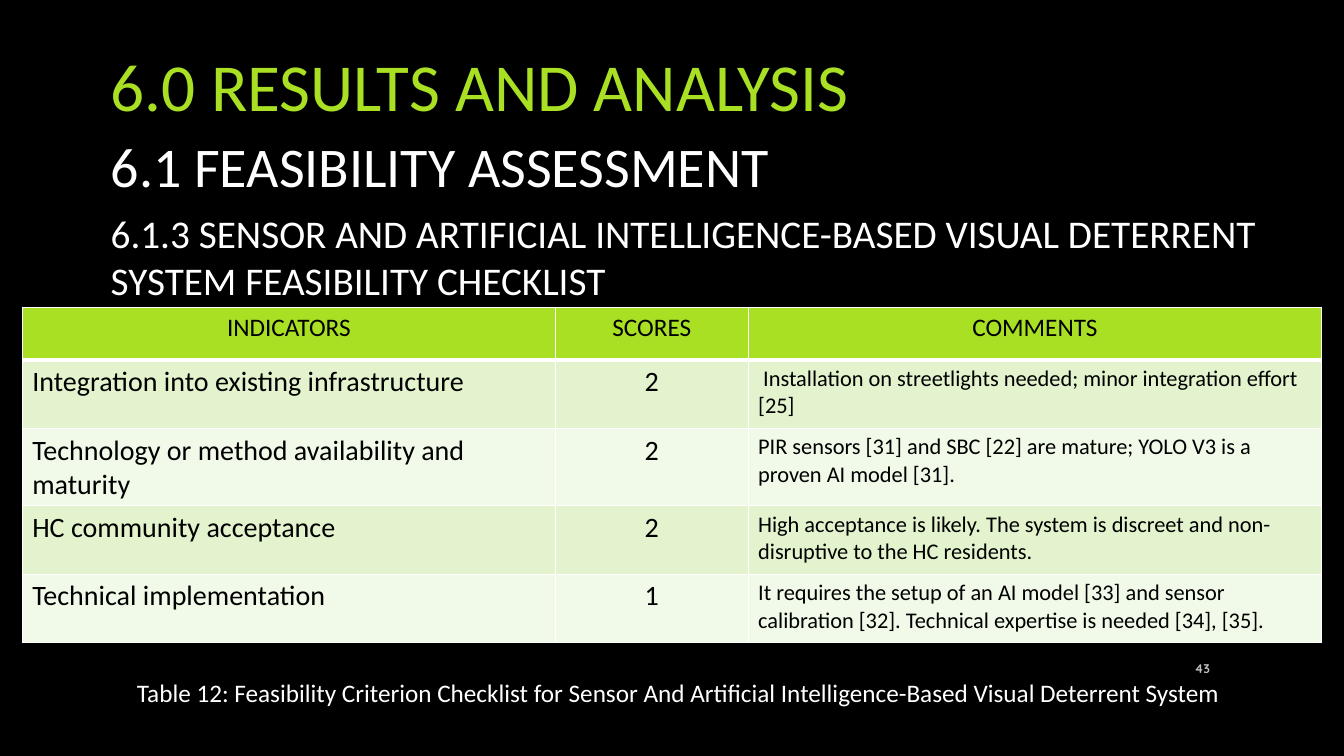
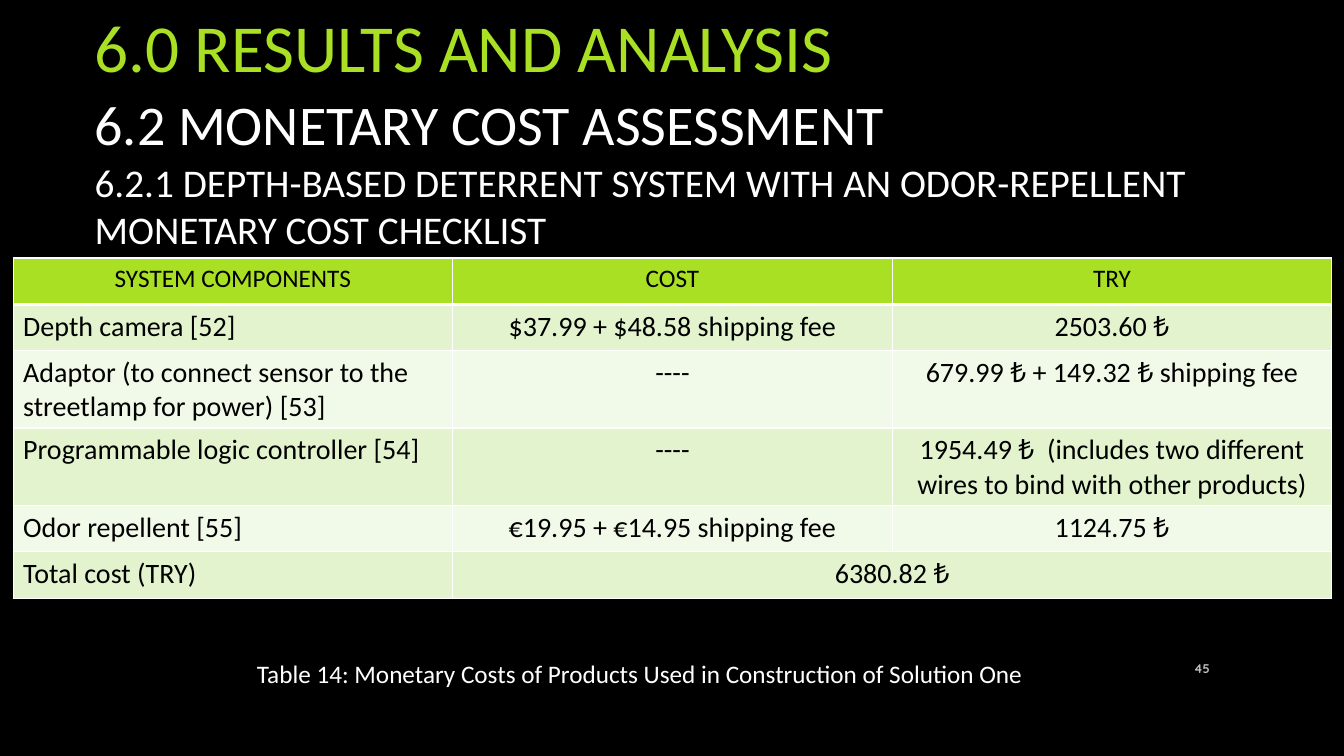
from lxml import etree
from pptx import Presentation
from pptx.dml.color import RGBColor
from pptx.enum.text import MSO_ANCHOR, MSO_AUTO_SIZE, PP_ALIGN
from pptx.oxml.ns import qn
from pptx.util import Inches, Pt

LEFT, MID, RIGHT = PP_ALIGN.LEFT, PP_ALIGN.CENTER, PP_ALIGN.RIGHT
TOP, CENTER = MSO_ANCHOR.TOP, MSO_ANCHOR.MIDDLE
NO_FIT = MSO_AUTO_SIZE.NONE

# Shared look
BLACK, WHITE, GRAY = "000000", "FFFFFF", "BFBFBF"
LIME = "A9E023"
BANDS = ("E2F3CD", "F1F9E8")
FONT, NUM_FONT = "Calibri", "Quicksand"
TITLE = "6.0 RESULTS AND ANALYSIS"
THIN, THICK = 1, 3


def color(value):
    return RGBColor.from_string(value)


def write(frame, text, size=18, ink=WHITE, font=FONT, bold=False,
          align=LEFT, anchor=TOP):
    """Fill a text frame or cell frame with one formatted paragraph."""
    frame.word_wrap = True
    frame.vertical_anchor = anchor
    para = frame.paragraphs[0]
    para.alignment = align
    run = para.add_run()
    run.text = text
    run.font.name = font
    run.font.size = Pt(size)
    run.font.bold = bold
    run.font.color.rgb = color(ink)


def add_text(slide, box, text, wrap=True, **style):
    frame = slide.shapes.add_textbox(*map(Inches, box)).text_frame
    write(frame, text, **style)
    frame.word_wrap = wrap


def add_title(slide, left, top):
    title = slide.shapes.title
    title.left, title.top = Inches(left), Inches(top)
    title.width, title.height = Inches(11.65), Inches(1.62)
    write(title.text_frame, TITLE, size=48, ink=LIME, anchor=CENTER)
    title.text_frame.auto_size = NO_FIT


def add_number(slide, number):
    add_text(slide, (11.5, 6.43, 0.6, 0.4), number, size=9, ink=GRAY,
             font=NUM_FONT, bold=True, align=RIGHT, anchor=CENTER)


def set_edges(cell, top, bottom):
    """Draw white cell borders; the side borders are always thin."""
    props = cell._tc.get_or_add_tcPr()
    edges = (("lnL", THIN), ("lnR", THIN), ("lnT", top), ("lnB", bottom))
    for spot, (tag, width) in enumerate(edges):
        line = etree.Element(qn("a:" + tag), w=str(Pt(width)))
        fill = etree.SubElement(line, qn("a:solidFill"))
        etree.SubElement(fill, qn("a:srgbClr"), val=WHITE)
        props.insert(spot, line)


def add_table(slide, left, top, cols, heights, rows, sizes, aligns):
    """Add a lime header and banded rows; sizes and aligns go by column."""
    box = (left, top, sum(cols), sum(heights))
    table = slide.shapes.add_table(len(rows), len(cols),
                                   *map(Inches, box)).table
    for col, width in zip(table.columns, cols):
        col.width = Inches(width)
    for r, (texts, height) in enumerate(zip(rows, heights)):
        table.rows[r].height = Inches(height)
        head = r == 0
        for c, text in enumerate(texts):
            cell = table.cell(r, c)
            cell.fill.solid()
            cell.fill.fore_color.rgb = color(LIME if head else BANDS[(r - 1) % 2])
            set_edges(cell, THICK if r == 1 else THIN, THICK if head else THIN)
            if text:
                write(cell.text_frame, text, ink=BLACK,
                      size=18 if head else sizes[c],
                      align=MID if head else aligns[c])
    return table


def add_page(deck, number, left, top):
    slide = deck.slides.add_slide(deck.slide_layouts[5])
    add_title(slide, left, top)
    add_number(slide, number)
    return slide


def add_checks(deck):
    slide = add_page(deck, "43", 1, 0.03)
    add_text(slide, (1, 1.26, 8.41, 0.77), "6.1 FEASIBILITY ASSESSMENT", size=40)
    add_text(slide, (1, 2.03, 12.16, 1.04),
             "6.1.3 SENSOR AND ARTIFICIAL INTELLIGENCE-BASED VISUAL DETERRENT "
             "SYSTEM FEASIBILITY CHECKLIST", size=28)
    rows = [
        ("INDICATORS", "SCORES", "COMMENTS"),
        ("Integration into existing infrastructure", "2",
         " Installation on streetlights needed; minor integration effort [25]"),
        ("Technology or method availability and maturity", "2",
         "PIR sensors [31] and SBC [22] are mature; YOLO V3 is a proven AI "
         "model [31]."),
        ("HC community acceptance", "2",
         "High acceptance is likely. The system is discreet and "
         "non-disruptive to the HC residents."),
        ("Technical implementation", "1",
         "It requires the setup of an AI model [33] and sensor calibration "
         "[32]. Technical expertise is needed [34], [35]."),
    ]
    add_table(slide, 0.22, 3.05, (5.29, 1.91, 5.69), [0.52] + [0.68] * 4,
              rows, (20, 20, 16), (LEFT, MID, LEFT))
    add_text(slide, (1.26, 6.67, 11.12, 0.4),
             "Table 12: Feasibility Criterion Checklist for Sensor And "
             "Artificial Intelligence-Based Visual Deterrent System", wrap=False)


def add_costs(deck):
    slide = add_page(deck, "45", 0.84, -0.36)
    add_text(slide, (0.84, 0.84, 8.41, 0.77), "6.2 MONETARY COST ASSESSMENT",
             size=40)
    add_text(slide, (0.84, 1.52, 11.11, 1.04),
             "6.2.1 DEPTH-BASED DETERRENT SYSTEM WITH AN ODOR-REPELLENT "
             "MONETARY COST CHECKLIST", size=28)
    rows = [
        ("SYSTEM COMPONENTS", "COST", "TRY"),
        ("Depth camera [52]", "$37.99 + $48.58 shipping fee", "2503.60 ₺"),
        ("Adaptor (to connect sensor to the streetlamp for power) [53]",
         "----", "679.99 ₺ + 149.32 ₺ shipping fee"),
        ("Programmable logic controller [54]", "----",
         "1954.49 ₺  (includes two different wires to bind with other products)"),
        ("Odor repellent [55]", "€19.95 + €14.95 shipping fee", "1124.75 ₺"),
        ("Total cost (TRY)", "6380.82 ₺", ""),
    ]
    table = add_table(slide, 0.13, 2.56, [4.36] * 3,
                      (0.46, 0.46, 0.72, 0.72, 0.46, 0.46),
                      rows, [20] * 3, (LEFT, MID, MID))
    table.cell(5, 1).merge(table.cell(5, 2))
    add_text(slide, (2.45, 6.48, 7.89, 0.4),
             "Table 14: Monetary Costs of Products Used in Construction of "
             "Solution One", wrap=False)


def main():
    deck = Presentation()
    deck.slide_width, deck.slide_height = Inches(13.33), Inches(7.5)
    back = deck.slide_master.background.fill
    back.solid()
    back.fore_color.rgb = color(BLACK)
    add_checks(deck)
    add_costs(deck)
    deck.save("out.pptx")


if __name__ == "__main__":
    main()
